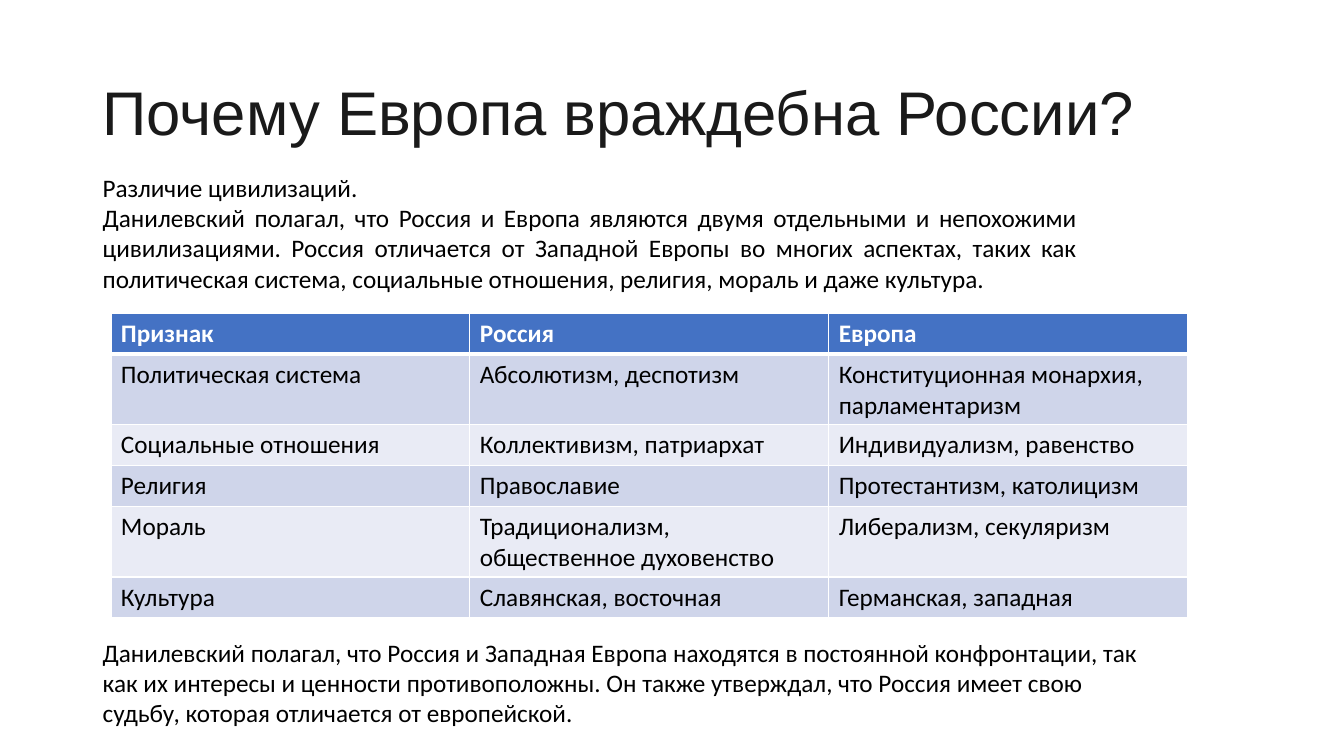
from lxml.etree import SubElement
from pptx import Presentation
from pptx.dml.color import RGBColor
from pptx.enum.text import MSO_ANCHOR as Anchor, PP_ALIGN as Align
from pptx.oxml.ns import qn
from pptx.util import Inches, Pt


def color(value):
    return RGBColor.from_string(value)


class SlideBuilder:
    """Holds the style and the current slide, and adds elements to it."""

    body_font = "Calibri"
    body_size = 18
    ink = "000000"
    white = "FFFFFF"
    header_fill = "4472C4"
    band_fills = ("CFD5EA", "E9EBF5")

    def __init__(self, page):
        self.page = page

    def add_span(self, para, words, size=body_size, font=body_font, ink=ink, bold=False):
        span = para.add_run()
        span.text = words
        span.font.size = Pt(size)
        span.font.name = font
        span.font.bold = bold
        span.font.color.rgb = color(ink)

    def add_text(self, place, paragraphs, align=Align.LEFT, anchor=Anchor.TOP,
                 spacing=1.0, **style):
        box = self.page.shapes.add_textbox(*map(Inches, place))
        frame = box.text_frame
        frame.word_wrap = True
        frame.vertical_anchor = anchor
        for index, words in enumerate(paragraphs):
            para = frame.add_paragraph() if index else frame.paragraphs[0]
            para.alignment = align
            para.line_spacing = spacing
            self.add_span(para, words, **style)

    def add_borders(self, cell, bottom_width):
        properties = cell._tc.get_or_add_tcPr()
        for side, width in (("L", 1), ("R", 1), ("T", 1), ("B", bottom_width)):
            line = SubElement(properties, qn(f"a:ln{side}"), w=str(Pt(width)))
            fill = SubElement(line, qn("a:solidFill"))
            SubElement(fill, qn("a:srgbClr"), val=self.white)

    def add_table(self, place, rows):
        frame = self.page.shapes.add_table(len(rows), len(rows[0]), *map(Inches, place))
        table = frame.table
        for row_index, row in enumerate(rows):
            header = row_index == 0
            fill = self.header_fill if header else self.band_fills[(row_index - 1) % 2]
            for column_index, words in enumerate(row):
                cell = table.cell(row_index, column_index)
                self.add_borders(cell, 3 if row_index == 0 else 1)
                cell.fill.solid()
                cell.fill.fore_color.rgb = color(fill)
                self.add_span(cell.text_frame.paragraphs[0], words,
                              ink=self.white if header else self.ink, bold=header)


def main():
    deck = Presentation()
    deck.slide_width, deck.slide_height = Inches(13.33), Inches(7.5)
    builder = SlideBuilder(deck.slides.add_slide(deck.slide_layouts[6]))

    builder.add_text((0.92, 0.42, 11.5, 1.45), ["Почему Европа враждебна России?"],
                     anchor=Anchor.MIDDLE, spacing=0.9, size=44, font="Arial", ink="1A1A1A")
    builder.add_text((0.92, 1.66, 9.86, 1.31), [
        "Различие цивилизаций.",
        "Данилевский полагал, что Россия и Европа являются двумя отдельными и непохожими "
        "цивилизациями. Россия отличается от Западной Европы во многих аспектах, таких как "
        "политическая система, социальные отношения, религия, мораль и даже культура.",
    ], align=Align.JUSTIFY)
    builder.add_table((1.1, 3.11, 10.68, 2.43), [
        ("Признак", "Россия", "Европа"),
        ("Политическая система", "Абсолютизм, деспотизм",
         "Конституционная монархия, парламентаризм"),
        ("Социальные отношения", "Коллективизм, патриархат", "Индивидуализм, равенство"),
        ("Религия", "Православие", "Протестантизм, католицизм"),
        ("Мораль", "Традиционализм, общественное духовенство", "Либерализм, секуляризм"),
        ("Культура", "Славянская, восточная", "Германская, западная"),
    ])
    builder.add_text((0.92, 6.27, 10.48, 1.01), [
        "Данилевский полагал, что Россия и Западная Европа находятся в постоянной "
        "конфронтации, так как их интересы и ценности противоположны. Он также утверждал, "
        "что Россия имеет свою судьбу, которая отличается от европейской.",
    ])
    deck.save("out.pptx")


if __name__ == "__main__":
    main()
